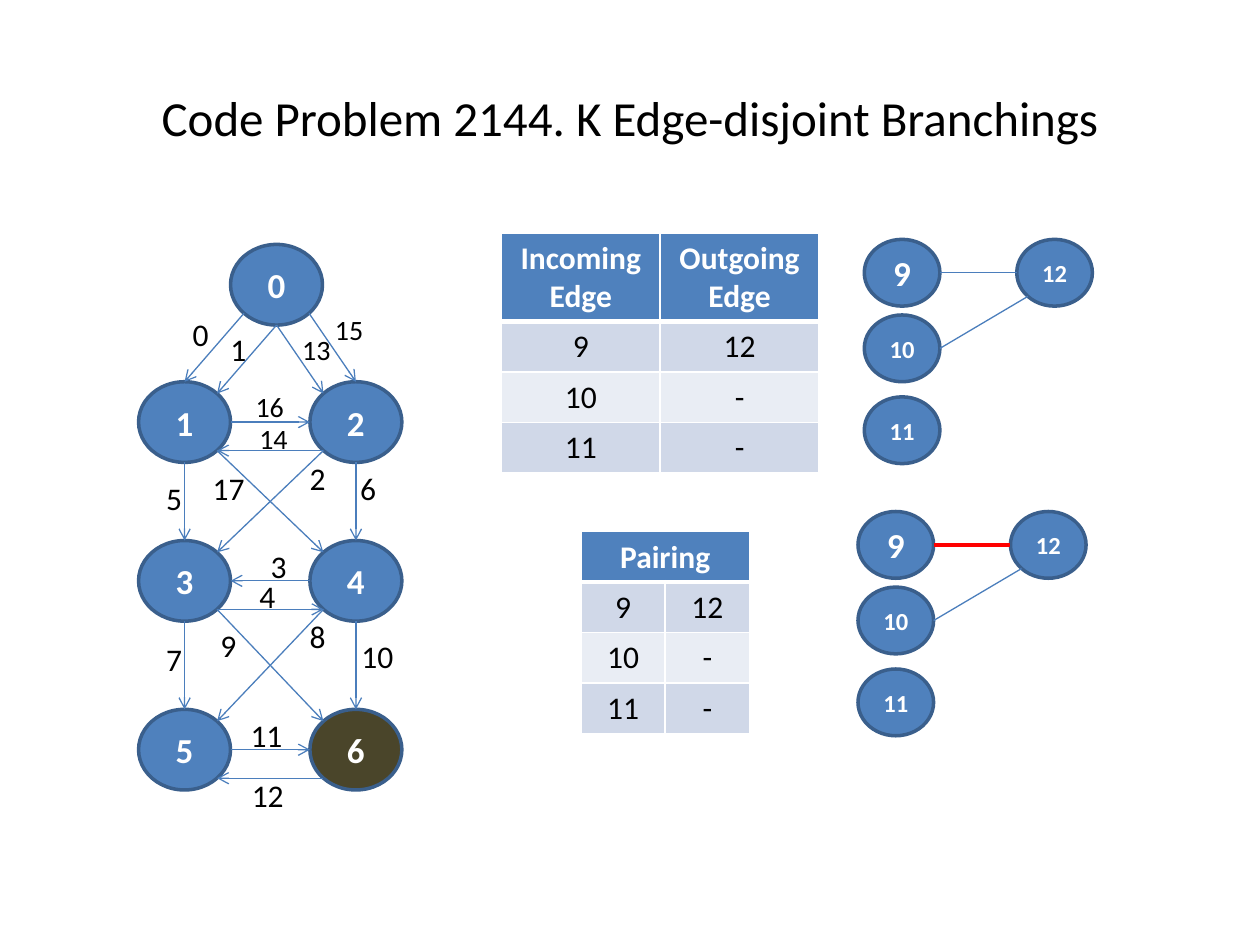
from lxml.etree import SubElement
from pptx import Presentation
from pptx.dml.color import RGBColor
from pptx.enum.shapes import MSO_CONNECTOR, MSO_SHAPE
from pptx.enum.text import MSO_ANCHOR, PP_ALIGN
from pptx.oxml.ns import qn
from pptx.util import Inches, Pt

FONT = "Calibri"
BLUE, RIM, EDGE = "4F81BD", "3A5F8C", "4B7EBC"
WHITE, BLACK, RED, DARK = "FFFFFF", "000000", "FF0000", "4A452A"
BANDS = ("D0D8E8", "E9EDF4")
BIG, SMALL = (0.73, 0.64), (0.6, 0.53)
DIAG = 0.707
PORTS = {"n": (0, -1), "s": (0, 1), "w": (-1, 0), "e": (1, 0),
         "nw": (-DIAG, -DIAG), "ne": (DIAG, -DIAG),
         "sw": (-DIAG, DIAG), "se": (DIAG, DIAG)}

NODES = {"0": (1.83, 1.94), "1": (1.1, 3.03), "2": (2.46, 3.03),
         "3": (1.1, 4.29), "4": (2.46, 4.29),
         "5": (1.1, 5.63), "6": (2.46, 5.63)}
# start node, port, end node, port, label, label left, label top
EDGES = [
    ("0", "sw", "1", "n", "0", 1.43, 2.45),
    ("0", "s", "1", "ne", "1", 1.73, 2.57),
    ("2", "sw", "3", "ne", "2", 2.36, 3.59),
    ("4", "w", "3", "e", "3", 2.05, 4.29),
    ("3", "se", "4", "sw", "4", 1.96, 4.53),
    ("1", "s", "3", "n", "5", 1.22, 3.75),
    ("2", "s", "4", "n", "6", 2.76, 3.67),
    ("3", "s", "5", "n", "7", 1.22, 5.03),
    ("4", "sw", "5", "ne", "8", 2.36, 4.85),
    ("3", "se", "6", "nw", "9", 1.65, 4.92),
    ("4", "s", "6", "n", "10", 2.77, 5.01),
    ("5", "e", "6", "w", "11", 1.89, 5.63),
    ("6", "sw", "5", "se", "12", 1.9, 6.11),
    ("0", "s", "2", "nw", "13", 2.3, 2.59),
    ("2", "sw", "1", "se", "14", 1.96, 3.3),
    ("0", "se", "2", "n", "15", 2.56, 2.43),
    ("1", "e", "2", "w", "16", 1.93, 3.04),
    ("1", "se", "4", "nw", "17", 1.59, 3.67),
]
PAIRS = [("9", "12"), ("10", "-"), ("11", "-")]


def color(code):
    """Turn a hex string into a colour."""
    return RGBColor.from_string(code)


def style(frame, size, ink, bold=False, align=PP_ALIGN.CENTER):
    """Format all text in a frame."""
    for para in frame.paragraphs:
        para.alignment = align
        for run in para.runs:
            run.font.name = FONT
            run.font.size = Pt(size)
            run.font.bold = bold
            run.font.color.rgb = color(ink)


def add_text(slide, text, box, size, align=PP_ALIGN.LEFT):
    """Add a text box and return its frame."""
    frame = slide.shapes.add_textbox(*map(Inches, box)).text_frame
    frame.word_wrap = True
    frame.text = text
    style(frame, size, BLACK, align=align)
    return frame


def add_node(slide, text, spot, dims, size=20, fill=BLUE):
    """Add a labelled ellipse."""
    node = slide.shapes.add_shape(MSO_SHAPE.OVAL, *map(Inches, spot + dims))
    node.shadow.inherit = False
    node.fill.solid()
    node.fill.fore_color.rgb = color(fill)
    node.line.color.rgb = color(RIM)
    node.line.width = Pt(2)
    frame = node.text_frame
    frame.text = text
    frame.vertical_anchor = MSO_ANCHOR.MIDDLE
    style(frame, size, WHITE, True)
    return node


def port(node, side):
    """Find the point on an ellipse's rim at a compass side."""
    dx, dy = PORTS[side]
    return (int(node.left + node.width * (1 + dx) / 2),
            int(node.top + node.height * (1 + dy) / 2))


def add_edge(slide, start, end, ink=EDGE, width=0.75, arrow=False):
    """Join two points with a straight line."""
    edge = slide.shapes.add_connector(MSO_CONNECTOR.STRAIGHT, *start, *end)
    edge.line.color.rgb = color(ink)
    edge.line.width = Pt(width)
    if arrow:
        SubElement(edge.line._get_or_add_ln(), qn("a:tailEnd"), type="arrow")
    SubElement(edge._element.spPr, qn("a:effectLst"))


def add_graph(slide):
    """Draw the directed graph with numbered edges."""
    nodes = {name: add_node(slide, name, spot, BIG,
                            fill=DARK if name == "6" else BLUE)
             for name, spot in NODES.items()}
    for tail, out, head, into, text, left, top in EDGES:
        add_edge(slide, port(nodes[tail], out), port(nodes[head], into),
                 arrow=True)
        wide = 0.35 if len(text) == 1 else 0.5
        size = 16 if 13 <= int(text) <= 16 else 18
        add_text(slide, text, (left, top, wide, 0.4), size)


def add_match(slide, left, top, ink=EDGE, width=0.75):
    """Draw a matching graph; ink and width style its first edge."""
    nine = add_node(slide, "9", (left, top), SMALL)
    ten = add_node(slide, "10", (left, top + 0.6), SMALL, 14)
    add_node(slide, "11", (left, top + 1.25), SMALL, 14)
    goal = add_node(slide, "12", (left + 1.21, top), SMALL, 14)
    add_edge(slide, port(nine, "e"), port(goal, "w"), ink, width)
    add_edge(slide, port(ten, "e"), port(goal, "sw"))


def set_rims(cell, low):
    """Give a cell white borders, with the bottom one low points wide."""
    props = cell._tc.get_or_add_tcPr()
    for place, (tag, width) in enumerate(
            (("lnL", 1), ("lnR", 1), ("lnT", 1), ("lnB", low))):
        rim = SubElement(props, qn("a:" + tag), w=str(Pt(width)))
        fill = SubElement(rim, qn("a:solidFill"))
        SubElement(fill, qn("a:srgbClr"), val=WHITE)
        props.insert(place, rim)


def add_grid(slide, spot, col, head, high):
    """Add a pair table with column width col and header height high."""
    rows = [head] + PAIRS
    dims = (2 * col, high + 0.4 * len(PAIRS))
    grid = slide.shapes.add_table(len(rows), 2,
                                  *map(Inches, spot + dims)).table
    for part in grid.columns:
        part.width = Inches(col)
    for r, row in enumerate(rows):
        grid.rows[r].height = Inches(0.4 if r else high)
        for c in range(2):
            cell = grid.cell(r, c)
            cell.fill.solid()
            cell.fill.fore_color.rgb = color(BANDS[(r - 1) % 2] if r else BLUE)
            set_rims(cell, 1 if r else 3)
            if c < len(row):
                cell.text_frame.text = row[c]
                style(cell.text_frame, 18, BLACK if r else WHITE, r == 0)
    if len(head) == 1:
        grid.cell(0, 0).merge(grid.cell(0, 1))


def main():
    """Build and save the slide."""
    deck = Presentation()
    deck.slide_width, deck.slide_height = Inches(10), Inches(7.5)
    slide = deck.slides.add_slide(deck.slide_layouts[6])
    title = add_text(slide, "Code Problem 2144. K Edge-disjoint Branchings",
                     (0.5, 0.3, 9, 1.25), 28, PP_ALIGN.CENTER)
    title.vertical_anchor = MSO_ANCHOR.MIDDLE
    add_graph(slide)
    add_grid(slide, (3.98, 1.85), 1.26, ("Incoming Edge", "Outgoing Edge"), 0.7)
    add_match(slide, 6.86, 1.9)
    add_match(slide, 6.81, 4.06, RED, 2)
    add_grid(slide, (4.61, 4.22), 0.67, ("Pairing",), 0.4)
    deck.save("out.pptx")


main()
